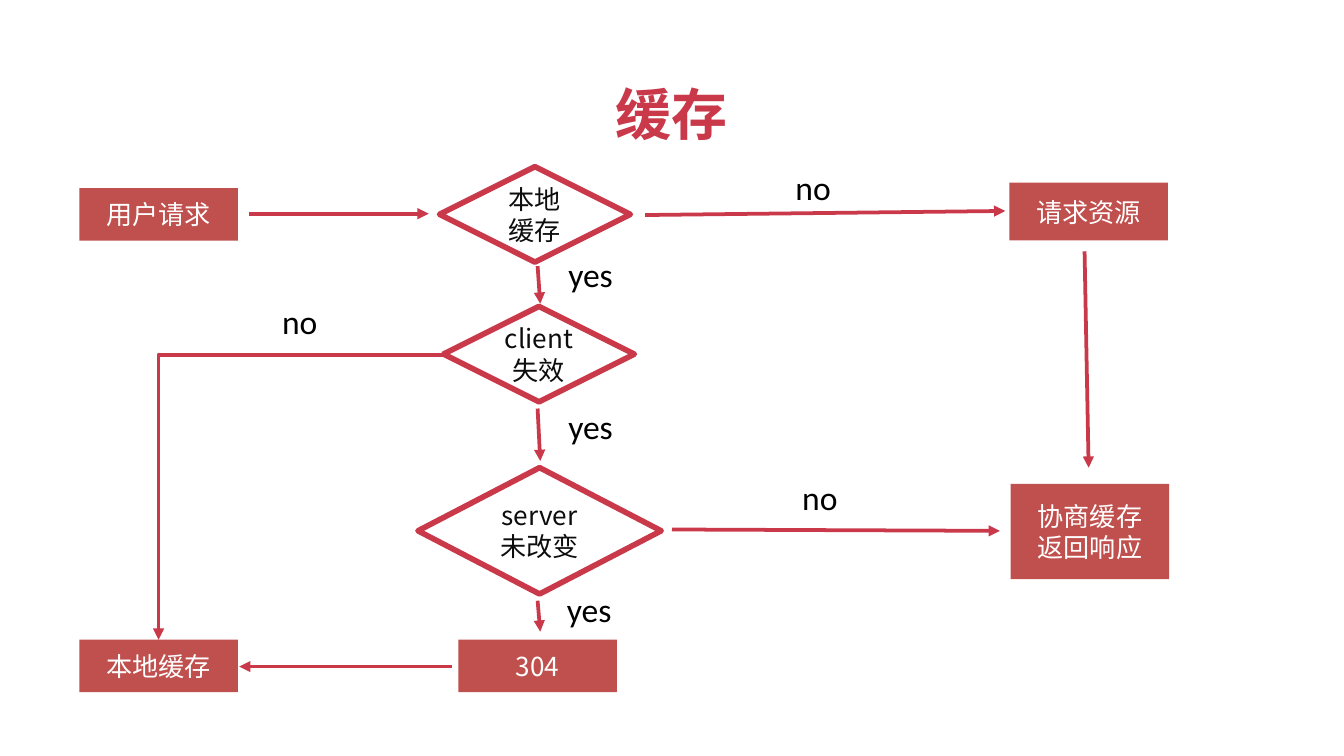
from lxml.etree import SubElement
from pptx import Presentation
from pptx.dml.color import RGBColor
from pptx.enum.shapes import MSO_CONNECTOR, MSO_SHAPE
from pptx.enum.text import MSO_ANCHOR, PP_ALIGN
from pptx.oxml.ns import qn
from pptx.util import Inches, Pt

COLORS = {"accent": "C9394A", "box": "C0504D", "white": "FFFFFF",
          "ink": "0D0D0D", "black": "000000"}
CJK, LATIN = "Noto Sans CJK SC", "Calibri"

BOXES = [
    ("用户请求", 0.59, 1.4, 1.18, 0.39),
    ("请求资源", 7.51, 1.36, 1.18, 0.43),
    ("协商缓存\n返回响应", 7.52, 3.6, 1.18, 0.71),
    ("本地缓存", 0.59, 4.76, 1.18, 0.39),
    ("304", 3.41, 4.76, 1.18, 0.39),
]
DECISIONS = [
    ("本地缓存", 3.27, 1.24, 1.42, 0.71),
    ("client失效", 3.3, 2.28, 1.42, 0.71),
    ("server\n未改变", 3.11, 3.48, 1.81, 0.94),
]
ARROWS = [
    (1.85, 1.59, 3.19, 1.59),
    (4.8, 1.6, 7.48, 1.57),
    (4, 1.98, 4.02, 2.26),
    (4, 3.04, 4.02, 3.43),
    (4, 4.47, 4.02, 4.7),
    (5, 3.94, 7.44, 3.95),
    (3.36, 4.96, 1.78, 4.96),
    (8.07, 1.87, 8.1, 3.48),
]
LABELS = [
    ("no", 5.82, 1.19), ("no", 5.87, 3.5), ("no", 2, 2.19),
    ("yes", 4.13, 1.84), ("yes", 4.13, 2.97), ("yes", 4.12, 4.33),
]


def rgb(name):
    """Return the named colour."""
    return RGBColor.from_string(COLORS[name])


def write(tf, text, size, font, color, align=PP_ALIGN.CENTER, bold=False):
    """Fill a text frame with one paragraph per line of text."""
    tf.word_wrap = True
    for i, line in enumerate(text.split("\n")):
        p = tf.add_paragraph() if i else tf.paragraphs[0]
        p.alignment = align
        r = p.add_run()
        r.text = line
        r.font.size = Pt(size)
        r.font.bold = bold
        r.font.name = font
        r.font.color.rgb = rgb(color)
        SubElement(r.font._element, qn("a:ea"), typeface=CJK)


def add_title(s, text):
    """Place and format the title placeholder."""
    sp = s.shapes.title
    sp.left, sp.top, sp.width, sp.height = map(Inches, (0, 0.54, 10, 0.61))
    sp.text_frame.vertical_anchor = MSO_ANCHOR.MIDDLE
    write(sp.text_frame, text, 30, CJK, "accent", bold=True)


def add_node(s, kind, text, bounds, fill, color, line=None):
    """Add a flowchart shape with centred text."""
    sp = s.shapes.add_shape(kind, *map(Inches, bounds))
    sp.shadow.inherit = False
    sp.fill.solid()
    sp.fill.fore_color.rgb = rgb(fill)
    if line:
        sp.line.color.rgb = rgb(line)
        sp.line.width = Pt(3)
    else:
        sp.line.fill.background()
    sp.text_frame.vertical_anchor = MSO_ANCHOR.MIDDLE
    write(sp.text_frame, text, 14, CJK, color)


def add_arrow(s, points, kind=MSO_CONNECTOR.STRAIGHT):
    """Add a connector with an arrowhead at its end."""
    cxn = s.shapes.add_connector(kind, *map(Inches, points))
    cxn.line.color.rgb = rgb("accent")
    cxn.line.width = Pt(2)
    SubElement(cxn.line._get_or_add_ln(), qn("a:tailEnd"), type="triangle")
    SubElement(cxn._element.spPr, qn("a:effectLst"))
    return cxn


def add_corner_arrow(s, start, end):
    """Add an arrow that runs left from start, then down to end."""
    points = (end[0], end[1], start[0], start[1])
    spPr = add_arrow(s, points, MSO_CONNECTOR.ELBOW)._element.spPr
    spPr.find(qn("a:prstGeom")).set("prst", "bentConnector2")
    spPr.find(qn("a:xfrm")).set("rot", "10800000")


def add_label(s, text, left, top):
    """Add a branch label."""
    sp = s.shapes.add_textbox(*map(Inches, (left, top, 0.55, 0.4)))
    write(sp.text_frame, text, 18, LATIN, "black", PP_ALIGN.LEFT)


def main():
    """Build the cache flowchart slide."""
    prs = Presentation()
    prs.slide_width = Inches(10)
    prs.slide_height = Inches(10) * 9 // 16
    s = prs.slides.add_slide(prs.slide_layouts[5])
    add_title(s, "缓存")
    for text, *bounds in BOXES:
        add_node(s, MSO_SHAPE.RECTANGLE, text, bounds, "box", "white")
    for text, *bounds in DECISIONS:
        add_node(s, MSO_SHAPE.DIAMOND, text, bounds, "white", "ink", "accent")
    for points in ARROWS:
        add_arrow(s, points)
    add_corner_arrow(s, (3.3, 2.64), (1.18, 4.76))
    for label in LABELS:
        add_label(s, *label)
    prs.save("out.pptx")


if __name__ == "__main__":
    main()
